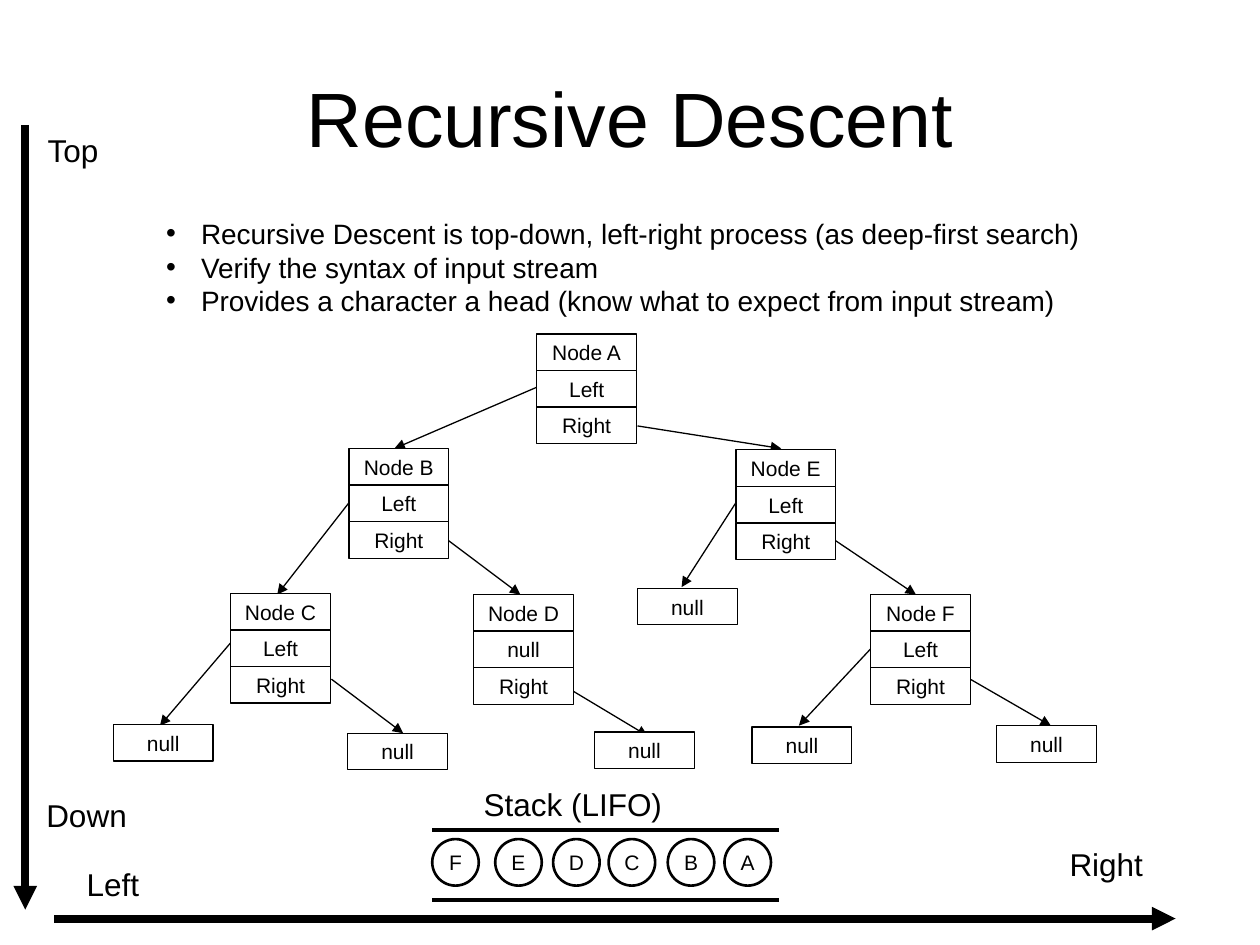
"""Build the Recursive Descent slide: a binary tree, its call stack and two direction axes."""
from dataclasses import dataclass

from lxml import etree
from pptx import Presentation
from pptx.dml.color import RGBColor
from pptx.enum import shapes, text
from pptx.oxml import ns
from pptx.util import Pt


@dataclass(frozen=True)
class Theme:
    font: str = "Arial"
    ink: RGBColor = RGBColor(0, 0, 0)
    paper: RGBColor = RGBColor(255, 255, 255)
    title: float = 44
    label: float = 18
    bullet: float = 16
    small: float = 12
    thin: float = 0.75
    ring: float = 1.5
    rail: float = 2.25
    axis: float = 4.5


@dataclass(frozen=True)
class Node:
    x: float
    y: float
    rows: tuple[str, ...] = ("null",)


@dataclass(frozen=True)
class Line:
    x1: float
    y1: float
    x2: float
    y2: float
    width: float
    arrow: bool = True


@dataclass(frozen=True)
class Label:
    words: str
    x: float
    y: float
    w: float


THEME = Theme()
ROW_W, ROW_H = 57, 20.9
RING_Y, RING_SIZE = 479.5, 26.6
FIELDS = ("Left", "Right")

NODES = [
    Node(306.7, 190.8, ("Node A", *FIELDS)),
    Node(199.4, 256.3, ("Node B", *FIELDS)),
    Node(131.8, 339.1, ("Node C", *FIELDS)),
    Node(270.7, 339.8, ("Node D", "null", "Right")),
    Node(420.5, 257, ("Node E", *FIELDS)),
    Node(497.5, 339.8, ("Node F", *FIELDS)),
    Node(64.8, 414),
    Node(198.7, 419),
    Node(339.8, 418.3),
    Node(364.3, 336.2),
    Node(429.8, 415.4),
    Node(569.5, 414.7),
]
LINKS = [
    Line(*ends, THEME.thin)
    for ends in [
        (307.4, 221, 225.4, 256.3),
        (364.3, 243.4, 446.4, 256.3),
        (199.4, 287.3, 158.4, 339.8),
        (256.3, 308.9, 297.4, 339.8),
        (132.5, 366.5, 91.4, 414.7),
        (189.4, 388.1, 230.4, 419),
        (326.9, 394.6, 370.1, 420.5),
        (420.5, 287.3, 389.5, 335.5),
        (477.4, 308.9, 523.4, 339.8),
        (497.5, 370.8, 456.5, 414.7),
        (554.4, 388.1, 600.5, 414.7),
    ]
]
AXES = [
    Line(14.4, 71.3, 14.4, 519.8, THEME.axis),
    Line(31, 524.9, 671.8, 524.9, THEME.axis),
]
RAILS = [Line(247, y, 445, y, THEME.rail, False) for y in (474.5, 514.1)]
STACK = {"F": 247, "E": 283, "D": 316.1, "C": 347.8, "B": 381.6, "A": 414}
LABELS = [
    Label("Top", 20.2, 71.3, 67.7),
    Label("Down", 19.4, 451.4, 62.6),
    Label("Left", 42.5, 491, 79.2),
    Label("Right", 604.1, 479.5, 79.2),
    Label("Stack (LIFO)", 269.3, 445, 215.3),
]
BULLETS = [
    "Recursive Descent is top-down, left-right process (as deep-first search)",
    "Verify the syntax of input stream",
    "Provides a character a head (know what to expect from input stream)",
]


def write(tf, words: str, *, size: float, align=text.PP_ALIGN.LEFT,
          anchor=text.MSO_ANCHOR.TOP, bullet_indent: float = 0) -> None:
    """Fill a text frame, one paragraph for each line of words."""
    tf.word_wrap = True
    tf.vertical_anchor = anchor
    for i, line in enumerate(words.split("\n")):
        p = tf.paragraphs[0] if i == 0 else tf.add_paragraph()
        p.alignment = align
        r = p.add_run()
        r.text = line
        r.font.name, r.font.size = THEME.font, Pt(size)
        r.font.color.rgb = THEME.ink
        if bullet_indent:
            pr = p._p.get_or_add_pPr()
            pr.set("marL", str(Pt(bullet_indent)))
            pr.set("indent", str(-Pt(bullet_indent)))
            etree.SubElement(pr, ns.qn("a:buFont"), typeface=THEME.font)
            etree.SubElement(pr, ns.qn("a:buChar"), char="•")


def add_line(s, line: Line) -> None:
    """Draw a straight line, with an arrowhead at its end when asked."""
    ends = (Pt(v) for v in (line.x1, line.y1, line.x2, line.y2))
    sp = s.shapes.add_connector(shapes.MSO_CONNECTOR.STRAIGHT, *ends)
    sp.line.color.rgb = THEME.ink
    sp.line.width = Pt(line.width)
    if line.arrow:
        etree.SubElement(sp.line._get_or_add_ln(), ns.qn("a:tailEnd"), type="triangle")
    etree.SubElement(sp._element.spPr, ns.qn("a:effectLst"))


def add_cell(s, kind, words: str, x: float, y: float, w: float, h: float, width: float) -> None:
    """Draw an outlined shape with small centred text."""
    sp = s.shapes.add_shape(kind, Pt(x), Pt(y), Pt(w), Pt(h))
    sp.shadow.inherit = False
    sp.fill.solid()
    sp.fill.fore_color.rgb = THEME.paper
    sp.line.color.rgb = THEME.ink
    sp.line.width = Pt(width)
    tf = sp.text_frame
    tf.margin_left = tf.margin_right = tf.margin_top = tf.margin_bottom = 0
    write(tf, words, size=THEME.small, align=text.PP_ALIGN.CENTER, anchor=text.MSO_ANCHOR.MIDDLE)


def add_node(s, node: Node) -> None:
    """Stack the rows of a tree node."""
    for i, row in enumerate(node.rows):
        add_cell(s, shapes.MSO_SHAPE.RECTANGLE, row, node.x, node.y + i * ROW_H,
                 ROW_W, ROW_H, THEME.thin)


def add_text(s, label: Label, h: float, **fmt) -> None:
    """Place a text box."""
    sp = s.shapes.add_textbox(Pt(label.x), Pt(label.y), Pt(label.w), Pt(h))
    write(sp.text_frame, label.words, **fmt)


def main() -> None:
    """Assemble and save the slide."""
    prs = Presentation()
    prs.slide_width, prs.slide_height = Pt(720), Pt(540)
    s = prs.slides.add_slide(prs.slide_layouts[5])
    title = s.shapes.title
    title.left, title.top, title.width, title.height = Pt(36), Pt(21.6), Pt(648), Pt(90)
    write(title.text_frame, "Recursive Descent", size=THEME.title,
          align=text.PP_ALIGN.CENTER, anchor=text.MSO_ANCHOR.MIDDLE)

    for letter, x in STACK.items():
        add_cell(s, shapes.MSO_SHAPE.OVAL, letter, x, RING_Y, RING_SIZE, RING_SIZE, THEME.ring)
    for line in RAILS + AXES + LINKS:
        add_line(s, line)
    for node in NODES:
        add_node(s, node)
    for label in LABELS:
        add_text(s, label, 28.8, size=THEME.label)
    add_text(s, Label("\n".join(BULLETS), 87.8, 120.2, 583.9), 64.8,
             size=THEME.bullet, bullet_indent=20)
    prs.save("out.pptx")


if __name__ == "__main__":
    main()
